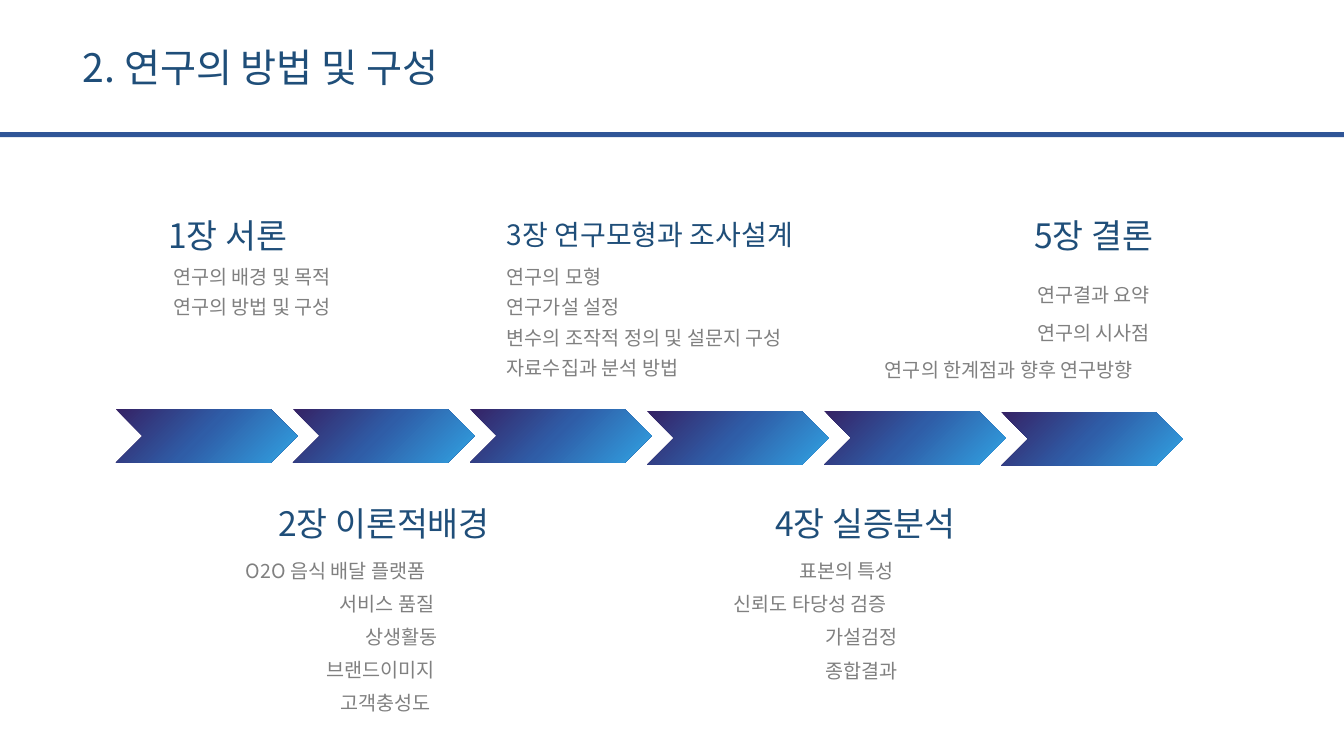
import pptx
import pptx.dml.color
import pptx.enum.shapes
import pptx.enum.text
import pptx.oxml
import pptx.oxml.ns
import pptx.util

NAVY, GRAY, BLUE = "1F4E79", "808080", "2F5597"
FONT = "Noto Sans CJK KR"
NAMESPACE = pptx.oxml.ns.nsdecls("a")
color = pptx.dml.color.RGBColor.from_string

deck = pptx.Presentation()
deck.slide_width = pptx.util.Inches(13.33)
deck.slide_height = pptx.util.Inches(7.5)
page = deck.slides.add_slide(deck.slide_layouts[5])

# Grid of 40 columns and 30 rows
COLUMN = deck.slide_width / 40
ROW = deck.slide_height / 30


def place(left, top, width, height):
    return [int(left * COLUMN), int(top * ROW), int(width * COLUMN), int(height * ROW)]


def write(box, text, size, fill):
    frame = box.text_frame
    frame.word_wrap = False
    frame.auto_size = pptx.enum.text.MSO_AUTO_SIZE.SHAPE_TO_FIT_TEXT
    frame.vertical_anchor = pptx.enum.text.MSO_ANCHOR.TOP
    para = frame.paragraphs[0]
    para.alignment = pptx.enum.text.PP_ALIGN.LEFT
    span = para.add_run()
    span.text = text
    span.font.size = pptx.util.Pt(size)
    span.font.name = FONT
    span.font.color.rgb = color(fill)
    # Faint text outline and East Asian font
    properties = span.font._element
    properties.insert(0, pptx.oxml.parse_xml(
        f'<a:ln {NAMESPACE} w="9525"><a:solidFill><a:srgbClr val="{fill}">'
        '<a:alpha val="15000"/></a:srgbClr></a:solidFill></a:ln>'))
    properties.find(pptx.oxml.ns.qn("a:latin")).addnext(
        pptx.oxml.parse_xml(f'<a:ea {NAMESPACE} typeface="{FONT}"/>'))


# Title and rule
title = page.shapes.title
title.left, title.top, title.width, title.height = place(2.16, 1.52, 12.69, 2.28)
write(title, "2. 연구의 방법 및 구성", 28, NAVY)

rule = page.shapes.add_shape(
    pptx.enum.shapes.MSO_SHAPE.RECTANGLE, *place(0, 5.24, 40, 0.2))
rule.shadow.inherit = False
rule.fill.solid()
rule.fill.fore_color.rgb = color(BLUE)
rule.line.fill.background()

# Chevron chain
for step, top in enumerate([16.24, 16.24, 16.24, 16.32, 16.32, 16.36]):
    chevron = page.shapes.add_shape(
        pptx.enum.shapes.MSO_SHAPE.CHEVRON, *place(3.45 + step * 5.27, top, 5.4, 2.12))
    chevron.shadow.inherit = False
    chevron.line.fill.background()
    chevron.fill.gradient()
    gradient = chevron._element.spPr.find(pptx.oxml.ns.qn("a:gradFill"))
    gradient.getparent().replace(gradient, pptx.oxml.parse_xml(
        f'<a:gradFill {NAMESPACE} rotWithShape="1"><a:gsLst>'
        '<a:gs pos="0"><a:srgbClr val="31A3E3"/></a:gs>'
        '<a:gs pos="52000"><a:srgbClr val="2F5DA7"/></a:gs>'
        '<a:gs pos="100000"><a:srgbClr val="352265"/></a:gs></a:gsLst>'
        '<a:path path="circle"><a:fillToRect l="100000" t="100000"/></a:path>'
        '</a:gradFill>'))

# Chapters: heading, size, heading place, share of width left of the list edge,
# list edge, first row, row pitch, topics with widths
chapters = [
    ("1장 서론", 24, (4.71, 8.32, 4.56, 2), 0, 4.86, 10.32, 1.2,
     [("연구의 배경 및 목적", 5.91), ("연구의 방법 및 구성", 5.91)]),
    ("2장 이론적배경", 24, (7.98, 19.76, 7.59, 2), 1, 13.56, 21.98, 1.31,
     [("O2O 음식 배달 플랫폼", 6.54), ("서비스 품질", 3.75), ("상생활동", 2.97),
      ("브랜드이미지", 4.14), ("고객충성도", 3.72)]),
    ("3장 연구모형과 조사설계", 20, (14.79, 8.44, 10.05, 1.76), 0, 14.79, 10.32, 1.2,
     [("연구의 모형", 3.75), ("연구가설 설정", 4.32),
      ("변수의 조작적 정의 및 설문지 구성", 9.84), ("자료수집과 분석 방법", 6.3)]),
    ("4장 실증분석", 24, (22.77, 19.76, 6.57, 2), 1, 27.24, 21.98, 1.32,
     [("표본의 특성", 3.75), ("신뢰도 타당성 검증", 5.7),
      ("가설검정", 2.97), ("종합결과", 2.97)]),
    ("5장 결론", 24, (30.48, 8.32, 4.56, 2), 1, 34.89, 11.04, 1.48,
     [("연구결과 요약", 4.32), ("연구의 시사점", 4.32),
      ("연구의 한계점과 향후 연구방향", 8.85)]),
]
for heading, size, spot, share, edge, first, pitch, topics in chapters:
    write(page.shapes.add_textbox(*place(*spot)), heading, size, NAVY)
    for index, (topic, width) in enumerate(topics):
        box = page.shapes.add_textbox(
            *place(edge - share * width, first + index * pitch, width, 1.36))
        write(box, topic, 14, GRAY)

deck.save("out.pptx")
